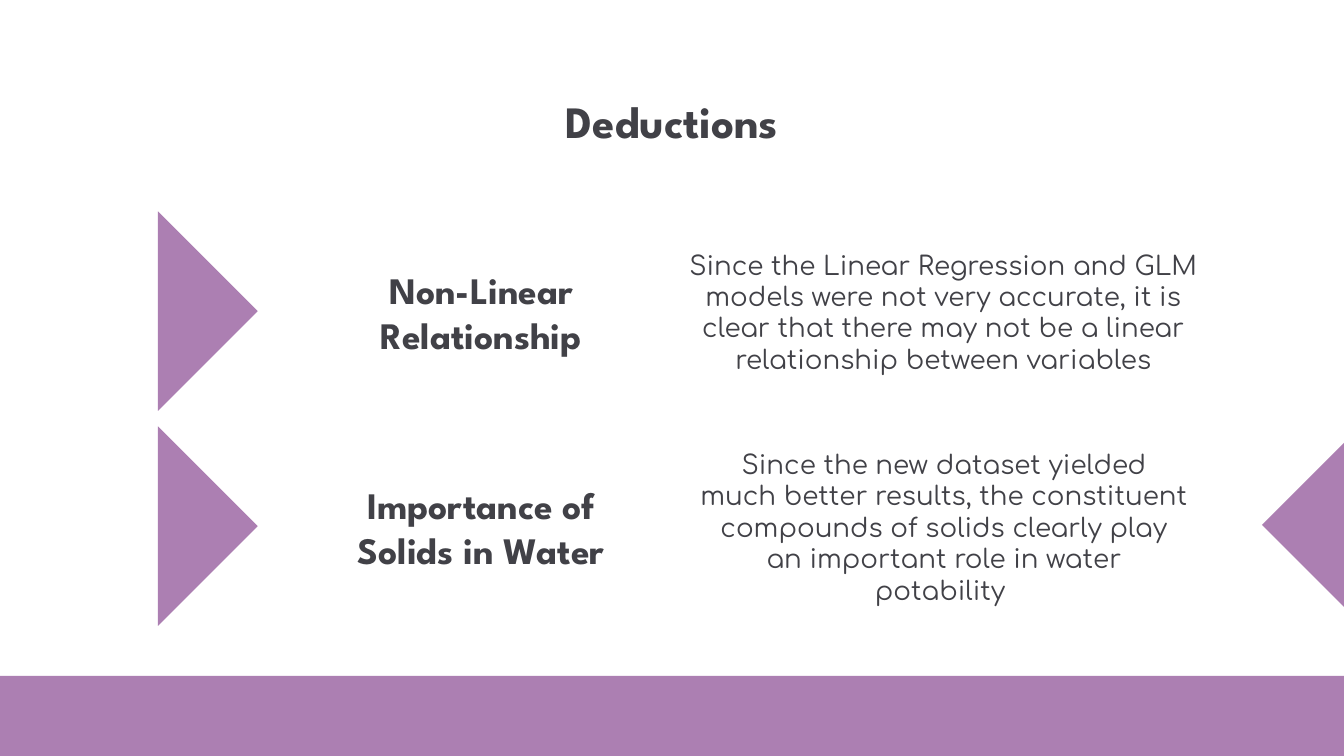
from pptx import Presentation
from pptx.dml.color import RGBColor
from pptx.enum.shapes import MSO_SHAPE
from pptx.enum.text import MSO_ANCHOR, MSO_AUTO_SIZE, PP_ALIGN
from pptx.util import Inches, Pt

PURPLE, INK = "AC7FB2", "414147"
HEADING_FONT, BODY_FONT = "League Spartan", "Comfortaa"

TITLE = "Deductions"
# heading, explanation, explanation box (left, top, width, height)
DEDUCTIONS = [
    ("Non-Linear Relationship",
     "Since the Linear Regression and GLM models were not very accurate, "
     "it is clear that there may not be a linear relationship between variables",
     (5.01, 1.88, 4.02, 0.88)),
    ("Importance of Solids in Water",
     "Since the new dataset yielded much better results, the constituent "
     "compounds of solids clearly play an important role in water potability ",
     (5.11, 3.48, 3.83, 0.88)),
]
FIRST_ROW_TOP, ROW_STEP = 1.79, 1.6
HEADING_OFFSET = 0.18


def color(hex_value):
    return RGBColor.from_string(hex_value)


def add_purple_shape(slide, kind, left, top, width, height, rotation=0):
    shape = slide.shapes.add_shape(
        kind, Inches(left), Inches(top), Inches(width), Inches(height))
    shape.rotation = rotation
    shape.shadow.inherit = False
    shape.fill.solid()
    shape.fill.fore_color.rgb = color(PURPLE)
    shape.line.fill.background()


def write_centred(box, text, size, font_name, bold=False):
    frame = box.text_frame
    frame.text = text
    frame.word_wrap = True
    frame.auto_size = MSO_AUTO_SIZE.NONE
    frame.vertical_anchor = MSO_ANCHOR.MIDDLE
    frame.margin_left = frame.margin_right = Inches(0.1)
    frame.margin_top = frame.margin_bottom = Inches(0.1)
    para = frame.paragraphs[0]
    para.alignment = PP_ALIGN.CENTER
    font = para.runs[0].font
    font.name, font.size, font.bold = font_name, Pt(size), bold
    font.color.rgb = color(INK)


def add_text(slide, place, *text_style):
    box = slide.shapes.add_textbox(*map(Inches, place))
    write_centred(box, *text_style)


deck = Presentation()
deck.slide_width = Inches(10)
deck.slide_height = deck.slide_width * 9 // 16
slide = deck.slides.add_slide(deck.slide_layouts[5])

add_purple_shape(slide, MSO_SHAPE.RECTANGLE, 0, 5.03, 10, 0.6)
add_purple_shape(slide, MSO_SHAPE.RECTANGLE, 9.57, 3.47, 0.87, 0.87, 315)

title = slide.shapes.title
title.left, title.top = Inches(0.78), Inches(0.58)
title.width, title.height = Inches(8.44), Inches(0.63)
write_centred(title, TITLE, 24, HEADING_FONT, True)

for row, (heading, explanation, place) in enumerate(DEDUCTIONS):
    top = FIRST_ROW_TOP + row * ROW_STEP
    add_purple_shape(slide, MSO_SHAPE.RIGHT_TRIANGLE, 0.65, top, 1.05, 1.05, 225)
    add_text(slide, (2.47, top + HEADING_OFFSET, 2.22, 0.7),
             heading, 20, HEADING_FONT, True)
    add_text(slide, place, explanation, 14, BODY_FONT)

deck.save("out.pptx")
